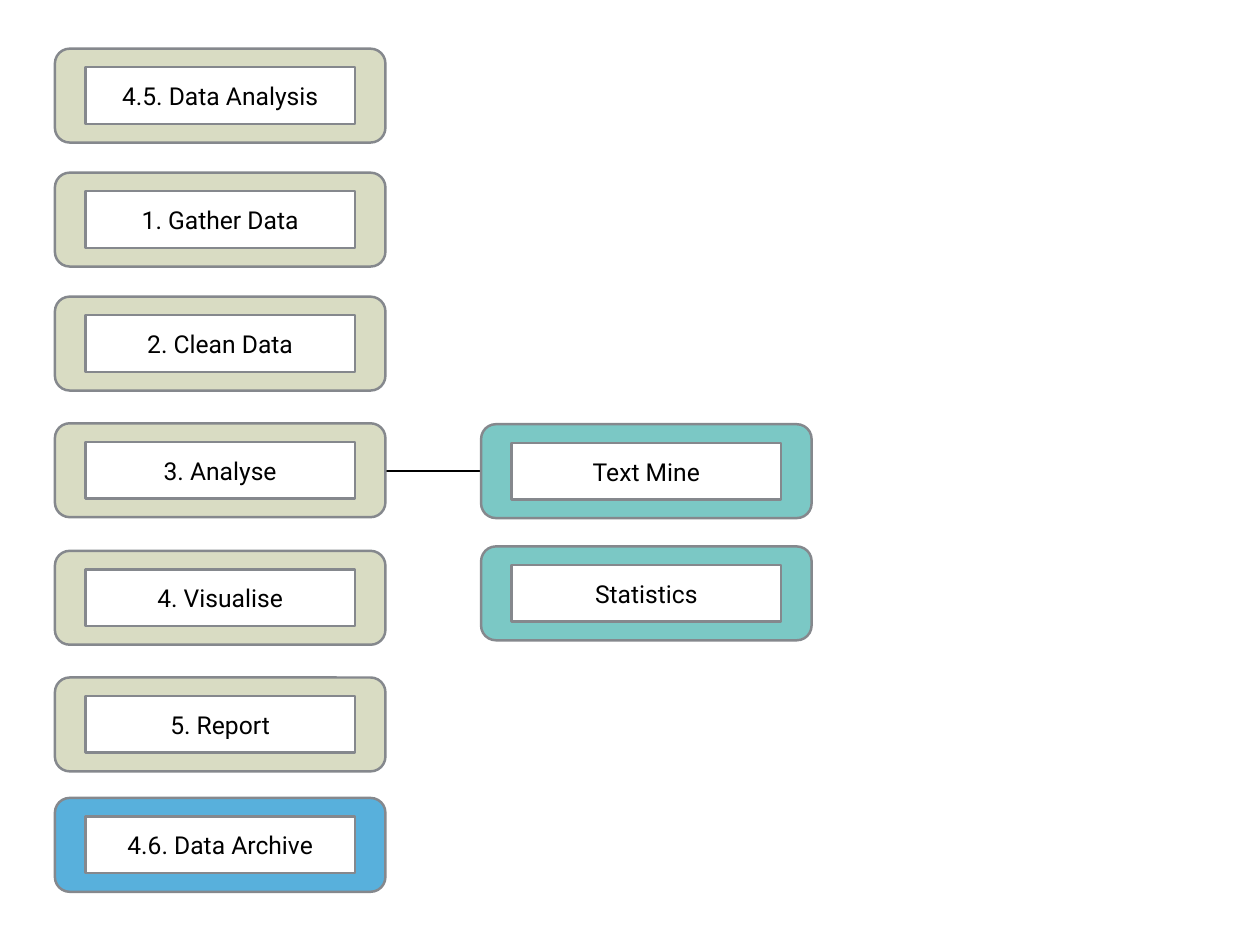
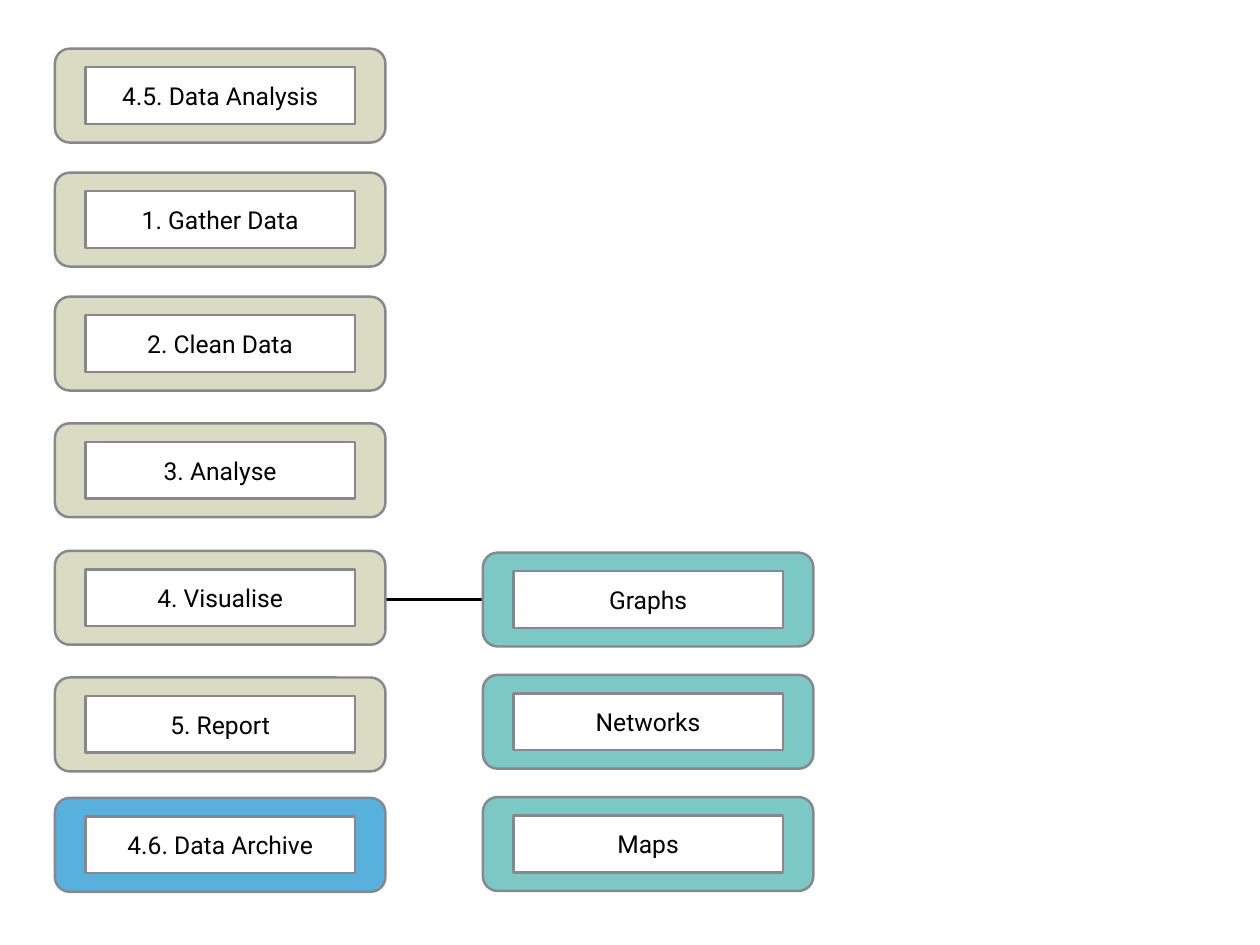
from dataclasses import dataclass
from lxml import etree
from pptx import Presentation
from pptx.dml.color import RGBColor
from pptx.enum.shapes import MSO_CONNECTOR, MSO_SHAPE
from pptx.enum.text import MSO_ANCHOR, PP_ALIGN
from pptx.oxml.ns import qn
from pptx.util import Inches, Pt

ROUND, RECT = MSO_SHAPE.ROUNDED_RECTANGLE, MSO_SHAPE.RECTANGLE
STRAIGHT = MSO_CONNECTOR.STRAIGHT
MIDDLE, CENTER = MSO_ANCHOR.MIDDLE, PP_ALIGN.CENTER

# Content: steps with their tops, shared by both slides
STEPS = [
    ("4.5. Data Analysis", 0.55),
    ("1. Gather Data", 1.95),
    ("2. Clean Data", 3.35),
    ("3. Analyse", 4.78),
    ("4. Visualise", 6.22),
    ("5. Report", 7.65),
    ("4.6. Data Archive", 9.01),
]
# Per slide: left and top of the branch, then its boxes
BRANCHES = [
    (5.43, 4.79, ["Text Mine", "Statistics"]),
    (5.45, 6.24, ["Graphs", "Networks", "Maps"]),
]


@dataclass(frozen=True)
class Theme:
    step: str = "D9DCC3"
    archive: str = "58B0DC"
    branch: str = "7BC8C5"
    label: str = "FFFFFF"
    edge: str = "85888D"
    ink: str = "000000"
    font: str = "Roboto"
    size: int = 20
    line: int = 2


THEME = Theme()

# Sizes in inches
LEFT, PITCH = 0.62, 1.38
WIDTH, HEIGHT = 3.73, 1.06
LABEL_W, LABEL_H = 3.04, 0.64
INSET = 0.03


def color(code):
    return RGBColor.from_string(code)


def panel(group, kind, x, y, w, h, fill):
    shape = group.shapes.add_shape(
        kind, Inches(x), Inches(y), Inches(w), Inches(h))
    shape.shadow.inherit = False
    shape.fill.solid()
    shape.fill.fore_color.rgb = color(fill)
    shape.line.color.rgb = color(THEME.edge)
    shape.line.width = Pt(THEME.line)
    return shape


def add_box(slide, text, x, y, fill):
    """Coloured frame with a white label centred in it."""
    group = slide.shapes.add_group_shape()
    frame = panel(group, ROUND, x, y, WIDTH, HEIGHT, fill)
    frame.adjustments[0] = 0.157
    label = panel(group, RECT, x + (WIDTH - LABEL_W) / 2,
                  y + (HEIGHT - LABEL_H) / 2, LABEL_W, LABEL_H, THEME.label)
    body = label.text_frame
    body.word_wrap = True
    body.vertical_anchor = MIDDLE
    body.margin_left = body.margin_right = Inches(INSET)
    body.margin_top = body.margin_bottom = Inches(INSET)
    para = body.paragraphs[0]
    para.alignment = CENTER
    run = para.add_run()
    run.text = text
    run.font.name = THEME.font
    run.font.size = Pt(THEME.size)
    run.font.color.rgb = color(THEME.ink)


def add_link(slide, start, end, y):
    link = slide.shapes.add_connector(
        STRAIGHT, Inches(start), Inches(y), Inches(end), Inches(y))
    link.line.color.rgb = color(THEME.ink)
    link.line.width = Pt(THEME.line)
    etree.SubElement(link._element.spPr, qn("a:effectLst"))


deck = Presentation()
deck.slide_width, deck.slide_height = Inches(14.22), Inches(10.67)
blank = deck.slide_layouts[6]

for left, top, names in BRANCHES:
    slide = deck.slides.add_slide(blank)

    # Link behind the boxes, level with the first branch box
    add_link(slide, LEFT + WIDTH, left, top + HEIGHT / 2)

    # Step column, closed by the archive
    for name, y in STEPS:
        last = name == STEPS[-1][0]
        add_box(slide, name, LEFT, y, THEME.archive if last else THEME.step)

    # Branch column
    for row, name in enumerate(names):
        add_box(slide, name, left, top + row * PITCH, THEME.branch)

deck.save("out.pptx")
